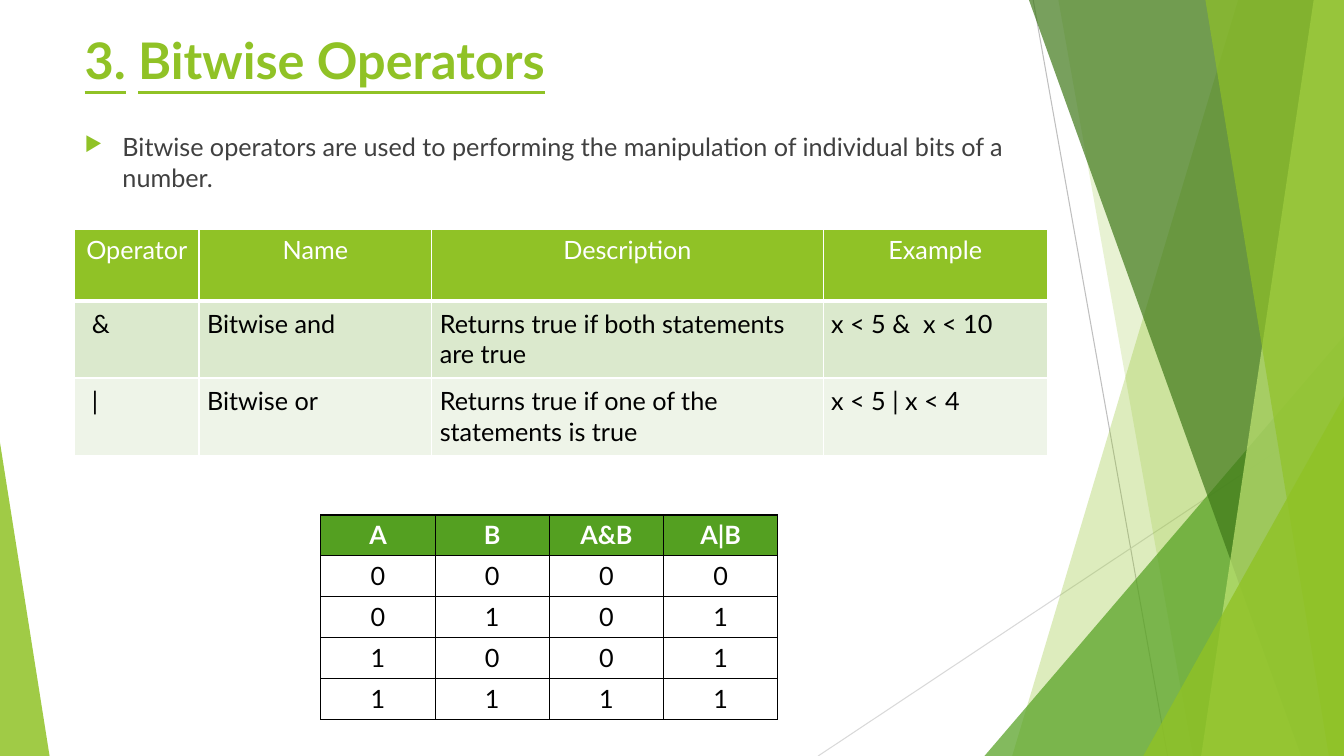
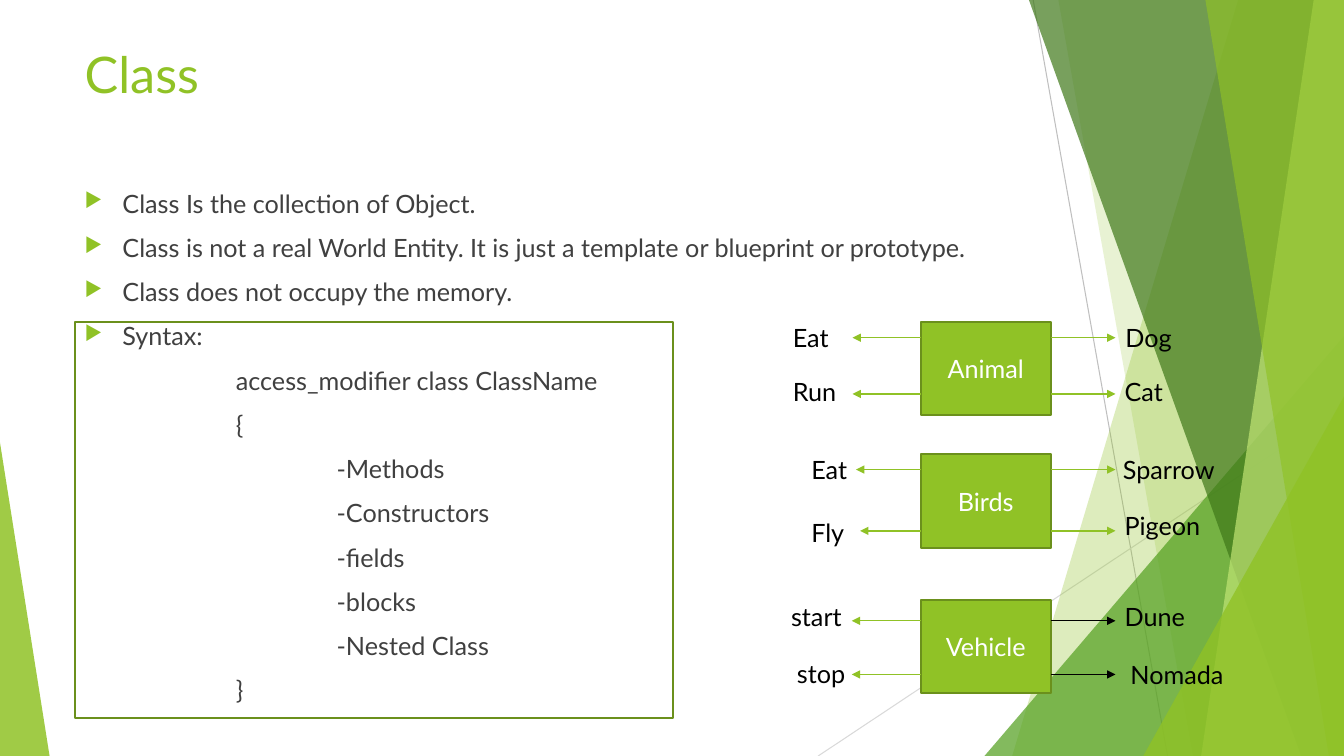
from lxml import etree
from pptx import Presentation
from pptx import util as u
from pptx.dml.color import RGBColor
from pptx.enum import shapes, text
from pptx.oxml import ns

HUES = {
    "lime": "90C226", "green": "54A021", "dark": "3F7819", "pale": "C0E474",
    "edge": "6B901C", "mint": "DBE9CD", "mist": "EEF4E8", "white": "FFFFFF",
    "black": "000000", "ink": "404040", "grey": "BFBFBF", "silver": "D9D9D9",
}
COLS, ROWS = 160, 90
BODY = {"size": u.Pt(18), "name": "Lato", "bold": False}
HEAD = {"size": u.Pt(36), "name": "Lato"}
LEFT, WIDE = 8.9, 112.8
MID = text.PP_ALIGN.CENTER


def rgb(hue):
    return RGBColor.from_string(HUES[hue])


def sub(node, tag, **attrs):
    return etree.SubElement(node, ns.qn(tag), attrs)


class Deck:
    """Holds the style and the current slide; lengths are grid columns and rows."""

    def __init__(self):
        self.prs = Presentation()
        self.prs.slide_width, self.prs.slide_height = 12192000, 6858000
        self.cell = self.prs.slide_width // COLS

    def emu(self, *spans):
        return [round(span * self.cell) for span in spans]

    def slide(self):
        blank = self.prs.slide_layouts[6]
        self.shapes = self.prs.slides.add_slide(blank).shapes
        self.decor()

    # Shared backdrop of lines and see-through facets
    def decor(self):
        self.line(123, 0, 139, ROWS, "grey", 0.75)
        self.line(COLS, 48.4, 97.4, ROWS, "silver", 0.75)
        self.facet(147.4, 120.5, "lime", 30)
        self.facet(126, 142, "lime", 20)
        self.wedge(117.2, 40, 42.8, 1, "green", 72)
        self.facet(122.5, 154.9, "dark", 70)
        self.facet(156.4, 143, "pale", 70)
        self.facet(143.5, 158.2, "lime", 65)
        self.wedge(136.1, 47.2, 23.9, 1, "lime", 80)
        self.wedge(0, 52.7, 5.9, 0, "lime", 85)

    def paint(self, shape, fill=None, line=None, alpha=100):
        shape.shadow.inherit = False
        if fill:
            shape.fill.solid()
            shape.fill.fore_color.rgb = rgb(fill)
        else:
            shape.fill.background()
        if alpha < 100:
            clr = shape._element.spPr.find(".//" + ns.qn("a:srgbClr"))
            sub(clr, "a:alpha", val=str(alpha * 1000))
        if line:
            shape.line.color.rgb = rgb(line)
            shape.line.width = u.Pt(1.5)
        else:
            shape.line.fill.background()

    def facet(self, top, foot, hue, alpha):
        form = self.shapes.build_freeform(*self.emu(top, 0), scale=1.0)
        ends = [(COLS, 0), (COLS, ROWS), (foot, ROWS)]
        form.add_line_segments([self.emu(*end) for end in ends])
        self.paint(form.convert_to_shape(), hue, alpha=alpha)

    def wedge(self, x, y, w, tip, hue, alpha):
        kind = shapes.MSO_SHAPE.ISOSCELES_TRIANGLE
        shape = self.shapes.add_shape(kind, *self.emu(x, y, w, ROWS - y))
        shape.adjustments[0] = tip
        self.paint(shape, hue, alpha=alpha)

    def line(self, x1, y1, x2, y2, hue, width=1, arrow=False):
        kind = shapes.MSO_CONNECTOR.STRAIGHT
        link = self.shapes.add_connector(kind, *self.emu(x1, y1, x2, y2))
        link.line.color.rgb = rgb(hue)
        link.line.width = u.Pt(width)
        if arrow:
            sub(link.line._get_or_add_ln(), "a:tailEnd", type="triangle")
        sub(link._element.spPr, "a:effectLst")

    def run(self, para, words, hue, style):
        run = para.add_run()
        run.text = words
        run.font.color.rgb = rgb(hue)
        for key, value in style.items():
            setattr(run.font, key, value)

    def box(self, x, y, w, h, fill=None, words=None):
        kind = shapes.MSO_SHAPE.RECTANGLE
        shape = self.shapes.add_shape(kind, *self.emu(x, y, w, h))
        self.paint(shape, fill, "edge")
        if words:
            frame = shape.text_frame
            frame.vertical_anchor = text.MSO_ANCHOR.MIDDLE
            frame.paragraphs[0].alignment = MID
            self.run(frame.paragraphs[0], words, "white", BODY)

    def frame(self, x, y, w, h):
        frame = self.shapes.add_textbox(*self.emu(x, y, w, h)).text_frame
        frame.word_wrap = True
        return frame

    def label(self, words, x, y, w):
        para = self.frame(x, y, w, 4.8).paragraphs[0]
        self.run(para, words, "black", BODY)

    def title(self, y, runs):
        para = self.frame(LEFT, y, WIDE, 17.3).paragraphs[0]
        for words, style in runs:
            self.run(para, words, "lime", HEAD | style)

    def body(self, y, h, items):
        """Items are (words, indent); an indent of None means a bullet."""
        frame = self.frame(LEFT, y, WIDE, h)
        for i, (words, indent) in enumerate(items):
            para = frame.add_paragraph() if i else frame.paragraphs[0]
            para.space_before = u.Pt(10)
            self.run(para, words, "ink", BODY)
            hang = 4.5 if indent is None else 0
            left, back = self.emu(hang or indent, -hang)
            props = para._p.get_or_add_pPr()
            props.set("marL", str(left))
            props.set("indent", str(back))
            if hang:
                clr = sub(props, "a:buClr")
                sub(clr, "a:srgbClr", val=HUES["lime"])
                sub(props, "a:buSzPct", val="80000")
                sub(props, "a:buChar", char="▶")

    def table(self, x, y, cols, rows, data, style):
        """Style is called with row and column and gives the cell's look."""
        size = self.emu(x, y, sum(cols), sum(rows))
        grid = self.shapes.add_table(len(rows), len(cols), *size).table
        grid.first_row = grid.horz_banding = False
        for col, w in zip(grid.columns, self.emu(*cols)):
            col.width = w
        for row, h in zip(grid.rows, self.emu(*rows)):
            row.height = h
        for r, line in enumerate(data):
            for c, words in enumerate(line):
                self.fill(grid.cell(r, c), words, **style(r, c))

    def fill(self, cell, words, back, hue, edge, bold=False, align=None,
             pads=None, widths=(1, 1, 1, 1)):
        cell.fill.solid()
        cell.fill.fore_color.rgb = rgb(back)
        para = cell.text_frame.paragraphs[0]
        para.alignment = align
        self.run(para, words, hue, BODY | {"bold": bold})
        for key, value in (pads or {}).items():
            setattr(cell, key, u.Inches(value))
        props = cell._tc.get_or_add_tcPr()
        for i, (side, width) in enumerate(zip("LRTB", widths)):
            line = sub(props, "a:ln" + side, w=str(u.Pt(width)))
            sub(sub(line, "a:solidFill"), "a:srgbClr", val=HUES[edge])
            props.insert(i, line)


def ops_look(r, c):
    if r == 0:
        return {"back": "lime", "hue": "white", "edge": "white",
                "align": MID, "widths": (1, 1, 1, 3)}
    pads = {"margin_" + side: 0.08 for side in ("left", "right", "top", "bottom")}
    if c == 0:
        pads["margin_left"] = 0.17
    return {"back": ("mint", "mist")[r - 1], "hue": "black", "edge": "white",
            "pads": pads, "widths": (1, 1, 3 if r == 1 else 1, 1)}


def truth_look(r, c):
    top = r == 0
    return {"back": "green" if top else "white", "edge": "black",
            "hue": "white" if top else "black", "bold": top, "align": MID}


def bitwise(deck):
    deck.slide()
    mark = {"bold": True, "underline": True}
    deck.title(2.9, [("3.", mark), (" ", {"bold": True}),
                     ("Bitwise Operators", mark)])
    deck.body(15.1, 10.9, [("Bitwise operators are used to performing the "
                            "manipulation of individual bits of a number.", None)])
    # Operators
    deck.table(LEFT, 27.3, [14.8, 27.7, 46.6, 26.7], [8.5, 9.2, 9.2], [
        ["Operator", "Name", "Description", "Example"],
        ["&", "Bitwise and", "Returns true if both statements are true",
         "x < 5 &  x < 10"],
        ["|", "Bitwise or", "Returns true if one of the statements is true",
         "x < 5 | x < 4"],
    ], ops_look)
    # Truth table
    bits = [(a, b, a & b, a | b) for a in (0, 1) for b in (0, 1)]
    data = [["A", "B", "A&B", "A|B"]] + [[str(bit) for bit in row] for row in bits]
    deck.table(38.2, 61.3, [13.6] * 4, [4.87] * 5, data, truth_look)


# Name, top, right arrow colour, then per arrow: row,
# left word, its column and row, arrow tip, right word, its column and row
KINDS = [
    ("Animal", 38.3, "lime", [
        (40.2, "Eat", 93.2, 37.8, 101.5, "Dog", 132.8, 37.8),
        (46.9, "Run", 93.2, 44.2, 101.5, "Cat", 132.7, 44.2)]),
    ("Birds", 54.1, "lime", [
        (55.9, "Eat", 95.4, 53.5, 101.9, "Sparrow", 132.5, 53.5),
        (63.2, "Fly", 95.4, 61, 102.4, "Pigeon", 132.7, 60.2)]),
    ("Vehicle", 71.4, "black", [
        (73.9, "start", 93, 71, 101.4, "Dune", 132.7, 71),
        (80.3, "stop", 93.7, 77.8, 101.4, "Nomada", 133.4, 77.9)]),
]


def classes(deck):
    deck.slide()
    deck.title(4.6, [("Class", {})])
    points = ["Class Is the collection of Object.",
              "Class is not a real World Entity. It is just a template or "
              "blueprint or prototype.",
              "Class does not occupy the memory.", "Syntax:"]
    parts = ["-Methods", "-Constructors", "-fields", "-blocks", "-Nested Class"]
    deck.body(21.8, 68.2, [(words, None) for words in points]
              + [("access_modifier class ClassName", 18), ("{", 18)]
              + [(words, 30) for words in parts] + [("}", 18)])
    deck.box(LEFT, 38.3, 71.2, 47.2)
    # Classes with actions on the left and objects on the right
    near, wide = 109.6, 15.5
    far = near + wide
    for name, top, hue, links in KINDS:
        deck.box(near, top, wide, 11.1, "lime", name)
        for y, act, ax, ay, tip, thing, tx, ty in links:
            deck.line(near, y, tip, y, "lime", arrow=True)
            deck.line(far, y, far + 7.7, y, hue, arrow=True)
            deck.label(act, ax, ay, 10)
            deck.label(thing, tx, ty, 18.4)


def main():
    deck = Deck()
    bitwise(deck)
    classes(deck)
    deck.prs.save("out.pptx")


if __name__ == "__main__":
    main()
